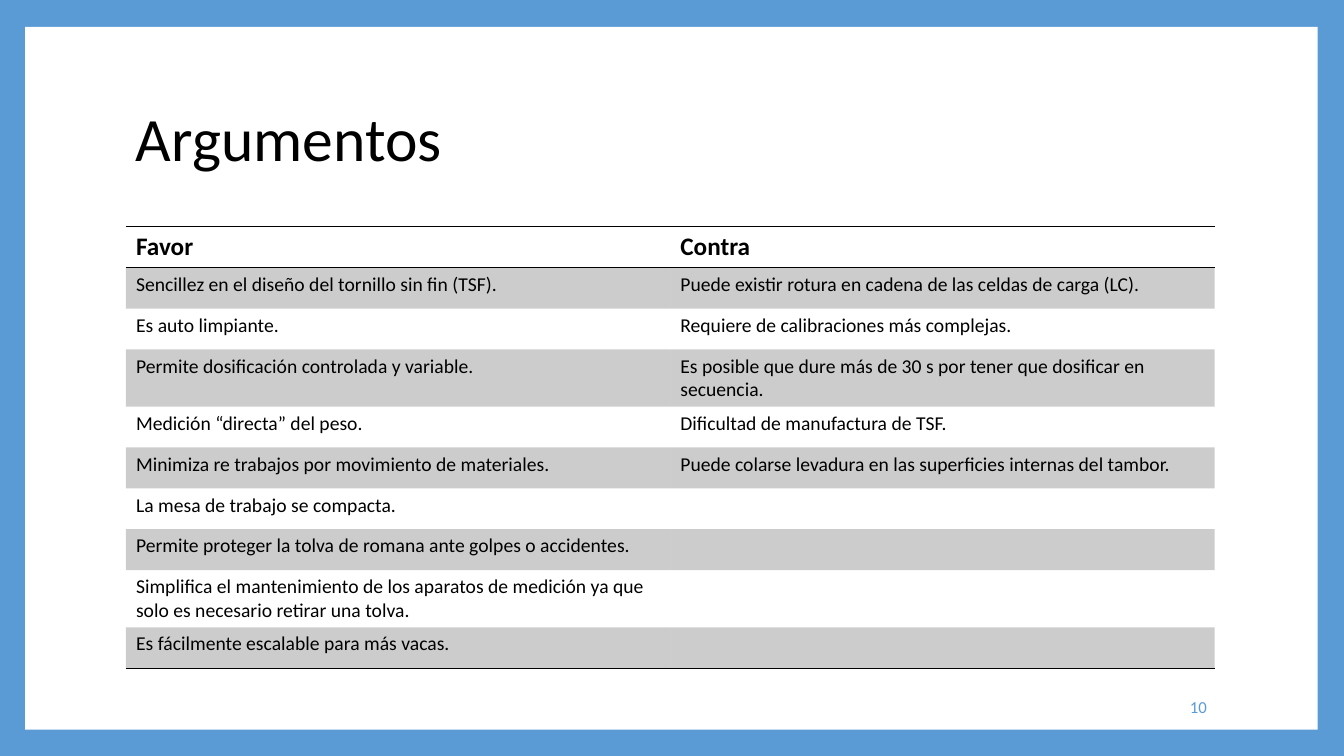
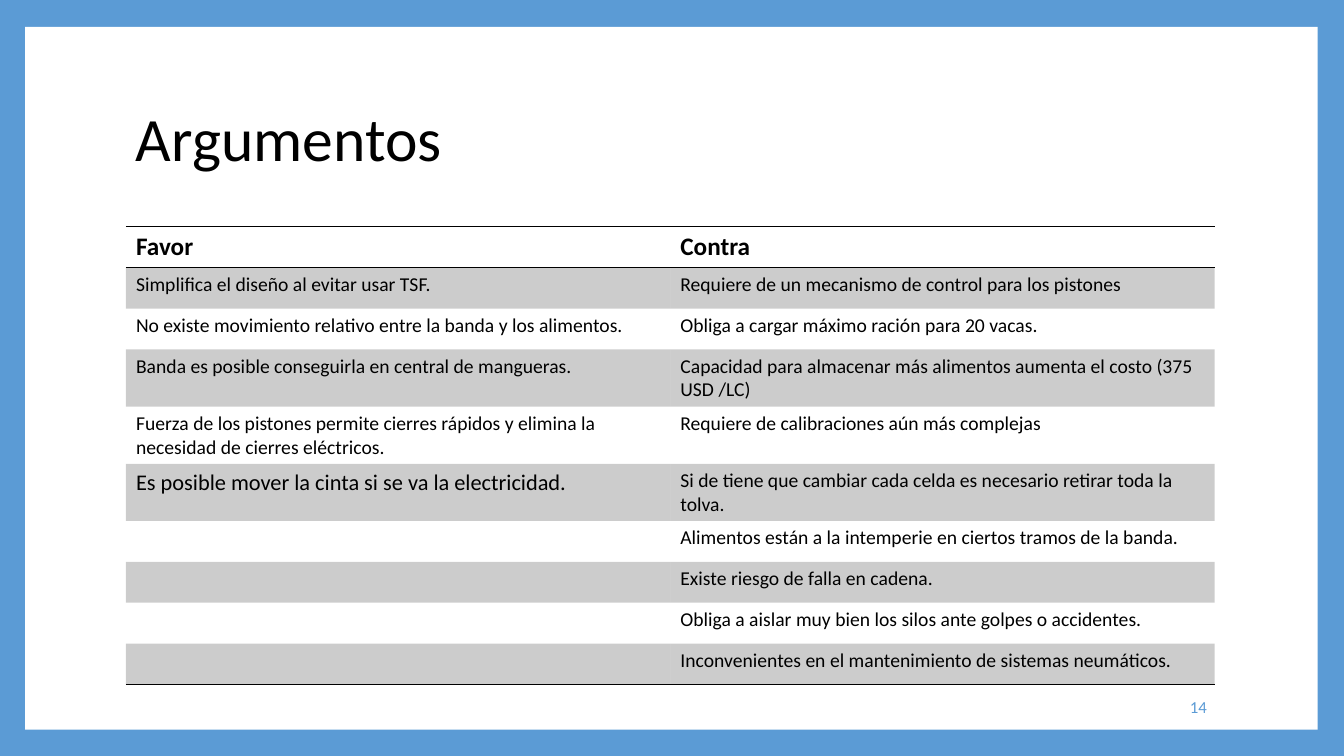
from itertools import zip_longest

from pptx import Presentation
from pptx.dml.color import RGBColor
from pptx.enum.shapes import MSO_SHAPE
from pptx.enum.text import MSO_ANCHOR, PP_ALIGN
from pptx.oxml import parse_xml
from pptx.oxml.ns import nsdecls, qn
from pptx.util import Pt

BLUE, WHITE, BLACK = "5B9BD5", "FFFFFF", "000000"
FONT = "Calibri"
NO_STYLE = "{2D5ABB26-0587-4C30-8999-92F81FD0307C}"

SCREW_PROS = [
    "Sencillez en el diseño del tornillo sin fin (TSF).",
    "Es auto limpiante.",
    "Permite dosificación controlada y variable.",
    "Medición “directa” del peso.",
    "Minimiza re trabajos por movimiento de materiales.",
    "La mesa de trabajo se compacta.",
    "Permite proteger la tolva de romana ante golpes o accidentes.",
    "Simplifica el mantenimiento de los aparatos de medición ya que solo es necesario retirar una tolva.",
    "Es fácilmente escalable para más vacas.",
]
SCREW_CONS = [
    "Puede existir rotura en cadena de las celdas de carga (LC).",
    "Requiere de calibraciones más complejas.",
    "Es posible que dure más de 30 s por tener que dosificar en secuencia.",
    "Dificultad de manufactura de TSF.",
    "Puede colarse levadura en las superficies internas del tambor.",
]
BELT_PROS = [
    "Simplifica el diseño al evitar usar TSF.",
    "No existe movimiento relativo entre la banda y los alimentos.",
    "Banda es posible conseguirla en central de mangueras.",
    "Fuerza de los pistones permite cierres rápidos y elimina la necesidad de cierres eléctricos.",
    "Es posible mover la cinta si se va la electricidad.",
]
BELT_CONS = [
    "Requiere de un mecanismo de control para los pistones",
    "Obliga a cargar máximo ración para 20 vacas.",
    "Capacidad para almacenar más alimentos aumenta el costo (375 USD /LC)",
    "Requiere de calibraciones aún más complejas",
    "Si de tiene que cambiar cada celda es necesario retirar toda la tolva.",
    "Alimentos están a la intemperie en ciertos tramos de la banda.",
    "Existe riesgo de falla en cadena.",
    "Obliga a aislar muy bien los silos ante golpes o accidentes.",
    "Inconvenientes en el mantenimiento de sistemas neumáticos.",
]


def rgb(value):
    """Turn a hex string into a colour."""
    return RGBColor.from_string(value)


def write(frame, text, size=14, color=BLACK, bold=False, align=PP_ALIGN.LEFT, spacing=None):
    """Put one formatted paragraph into a text frame."""
    paragraph = frame.paragraphs[0]
    paragraph.alignment = align
    paragraph.line_spacing = spacing
    if text:
        run = paragraph.add_run()
        run.text = text
        run.font.name = FONT
        run.font.size = Pt(size)
        run.font.bold = bold
        run.font.color.rgb = rgb(color)


class Deck:
    """Hold the shared style and the current slide."""

    left, width = 90, 777.6

    def __init__(self):
        """Start a widescreen presentation with a blue backdrop."""
        self.presentation = Presentation()
        self.presentation.slide_width = Pt(960)
        self.presentation.slide_height = Pt(540)
        backdrop = self.presentation.slide_master.background.fill
        backdrop.solid()
        backdrop.fore_color.rgb = rgb(BLUE)

    def new_slide(self, title, number):
        """Add a slide with its white panel, title and page number."""
        self.slide = self.presentation.slides.add_slide(self.presentation.slide_layouts[6])
        self.panel(18, 19.2, 923.2, 502)
        self.text(self.left, 48, self.width, 106.8, title, size=44, spacing=0.9)
        self.text(734.4, 490.3, 134.8, 28.8, str(number), size=12, color=BLUE, align=PP_ALIGN.RIGHT)

    def panel(self, x, y, w, h):
        """Draw the white content area."""
        panel = self.slide.shapes.add_shape(MSO_SHAPE.RECTANGLE, Pt(x), Pt(y), Pt(w), Pt(h))
        panel.shadow.inherit = False
        panel.fill.solid()
        panel.fill.fore_color.rgb = rgb(WHITE)
        panel.line.fill.background()

    def text(self, x, y, w, h, text, **style):
        """Add a vertically centred text box."""
        frame = self.slide.shapes.add_textbox(Pt(x), Pt(y), Pt(w), Pt(h)).text_frame
        frame.word_wrap = True
        frame.vertical_anchor = MSO_ANCHOR.MIDDLE
        write(frame, text, **style)

    def rule(self, cell, side):
        """Draw a thin black border on one side of a cell."""
        cell._tc.get_or_add_tcPr().append(parse_xml(
            f'<a:ln{side} {nsdecls("a")} w="{Pt(1)}"><a:solidFill>'
            f'<a:srgbClr val="{BLACK}"/></a:solidFill></a:ln{side}>'))

    def shade(self, cell):
        """Fill a cell with translucent black."""
        cell.fill.solid()
        cell.fill.fore_color.rgb = rgb(BLACK)
        color = cell._tc.tcPr.find(qn("a:solidFill")).find(qn("a:srgbClr"))
        color.append(parse_xml(f'<a:alpha {nsdecls("a")} val="20000"/>'))

    def arguments(self, pros, cons, large=()):
        """Add the two-column table of arguments."""
        rows = [("Favor", "Contra"), *zip_longest(pros, cons, fillvalue="")]
        row_height = 29.2
        table = self.slide.shapes.add_table(
            len(rows), 2, Pt(self.left), Pt(162), Pt(self.width), Pt(row_height * len(rows))).table
        table._tbl.tblPr.find(qn("a:tableStyleId")).text = NO_STYLE
        table.horz_banding = False
        for index, row in enumerate(rows):
            table.rows[index].height = Pt(row_height)
            header = index == 0
            for column, argument in enumerate(row):
                cell = table.cell(index, column)
                size = 18 if header else 16 if argument in large else 14
                write(cell.text_frame, argument, size=size, bold=header)
                if header:
                    self.rule(cell, "T")
                if header or index == len(rows) - 1:
                    self.rule(cell, "B")
                if index % 2:
                    self.shade(cell)
                else:
                    cell.fill.background()


def main():
    """Build both argument slides."""
    deck = Deck()
    deck.new_slide("Argumentos", 10)
    deck.arguments(SCREW_PROS, SCREW_CONS)
    deck.new_slide("Argumentos", 14)
    deck.arguments(BELT_PROS, BELT_CONS, large=BELT_PROS[-1:])
    deck.presentation.save("out.pptx")


if __name__ == "__main__":
    main()
